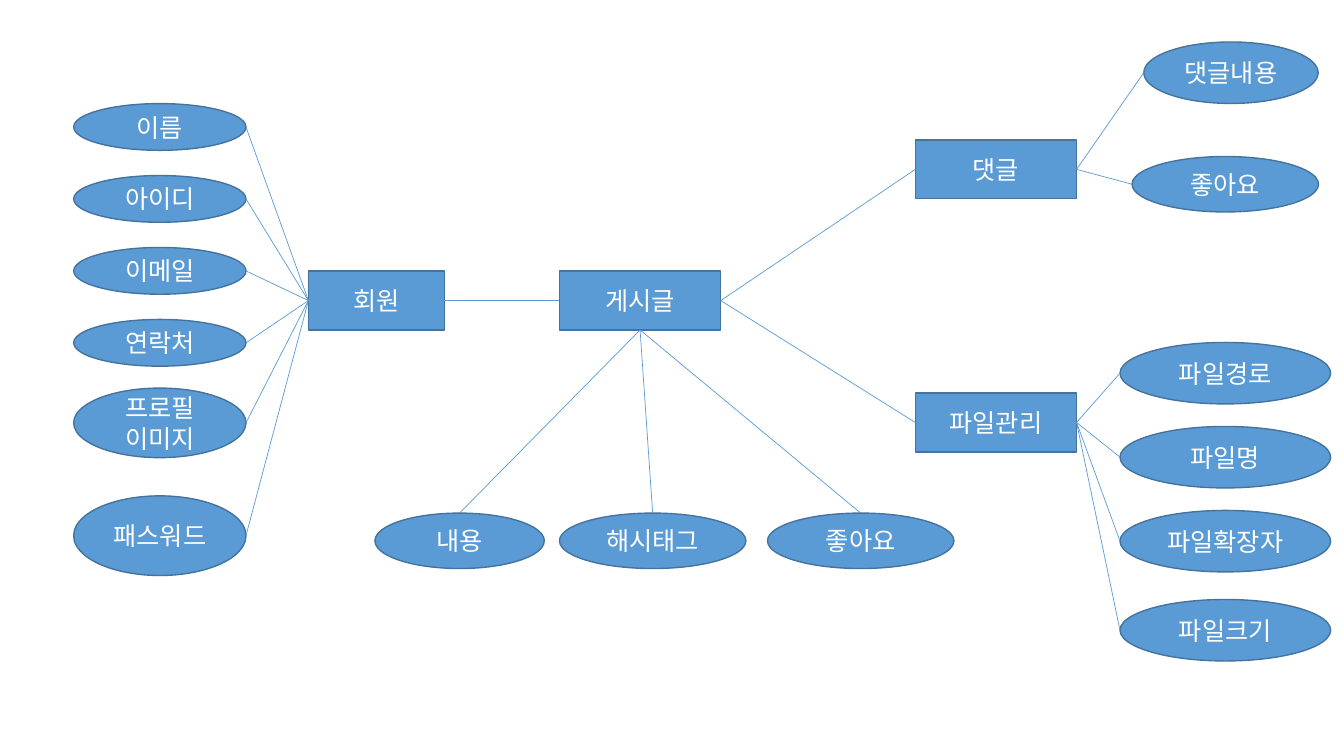
from dataclasses import dataclass
from enum import IntEnum

from lxml.etree import SubElement
from pptx import Presentation
from pptx.dml.color import RGBColor
from pptx.enum.shapes import MSO_CONNECTOR, MSO_SHAPE
from pptx.enum.text import MSO_ANCHOR, PP_ALIGN
from pptx.oxml.ns import qn
from pptx.shapes.autoshape import Shape
from pptx.shapes.connector import Connector
from pptx.slide import Slide
from pptx.util import Pt

BLUE = RGBColor(0x5B, 0x9B, 0xD5)
DARK_BLUE = RGBColor(0x43, 0x73, 0x9E)
WHITE = RGBColor(0xFF, 0xFF, 0xFF)
FONT = "Noto Sans CJK KR"

ENTITY_HEIGHT = 42
MEMBER_LEFT, MEMBER_WIDTH, MEMBER_HEIGHT = 52.6, 123.1, 33.4
MEMBER_TOP, MEMBER_STEP = 74, 51.4
POST_TOP, POST_HEIGHT = 366.5, 39.6
FILE_LEFT, FILE_WIDTH, FILE_HEIGHT = 800, 150.5, 43.9


class Side(IntEnum):
    TOP = 0
    LEFT = 1
    BOTTOM = 2
    RIGHT = 3


OPPOSITE = {
    Side.TOP: Side.BOTTOM,
    Side.LEFT: Side.RIGHT,
    Side.BOTTOM: Side.TOP,
    Side.RIGHT: Side.LEFT,
}


@dataclass(frozen=True)
class Node:
    text: str
    left: float
    top: float
    width: float
    height: float = ENTITY_HEIGHT

    def side_middle(self, side: Side) -> tuple[float, float]:
        center_x = self.left + self.width / 2
        center_y = self.top + self.height / 2
        return {
            Side.TOP: (center_x, self.top),
            Side.LEFT: (self.left, center_y),
            Side.BOTTOM: (center_x, self.top + self.height),
            Side.RIGHT: (self.left + self.width, center_y),
        }[side]


@dataclass(frozen=True)
class Entity:
    node: Node
    attribute_side: Side
    attributes: list[Node]


MEMBER = Entity(
    Node("회원", 220.3, 193.7, 97.2),
    Side.LEFT,
    [
        Node(name, MEMBER_LEFT, MEMBER_TOP + row * MEMBER_STEP, MEMBER_WIDTH, MEMBER_HEIGHT)
        for row, name in enumerate(["이름", "아이디", "이메일", "연락처"])
    ]
    + [
        Node("프로필 이미지", MEMBER_LEFT, 277.2, MEMBER_WIDTH, 49.7),
        Node("패스워드", MEMBER_LEFT, 354.2, MEMBER_WIDTH, 56.9),
    ],
)
POST = Entity(
    Node("게시글", 399.6, 193.7, 115.2),
    Side.BOTTOM,
    [
        Node("내용", 267.8, POST_TOP, 121, POST_HEIGHT),
        Node("해시태그", 399.6, POST_TOP, 133.2, POST_HEIGHT),
        Node("좋아요", 548.2, POST_TOP, 133.2, POST_HEIGHT),
    ],
)
COMMENT = Entity(
    Node("댓글", 653.8, 100, 115.2),
    Side.RIGHT,
    [
        Node("댓글내용", 817, 30, 124.6, FILE_HEIGHT),
        Node("좋아요", 808.6, 111.8, 133.2, POST_HEIGHT),
    ],
)
FILE = Entity(
    Node("파일관리", 653.8, 280.8, 115.2),
    Side.RIGHT,
    [
        Node(name, FILE_LEFT, top, FILE_WIDTH, FILE_HEIGHT)
        for name, top in [
            ("파일경로", 244.6),
            ("파일명", 304.6),
            ("파일확장자", 364.6),
            ("파일크기", 428.2),
        ]
    ],
)
ENTITIES = [MEMBER, POST, COMMENT, FILE]
RELATIONS = [(MEMBER, POST), (POST, COMMENT), (POST, FILE)]


def add_node(slide: Slide, node: Node, kind: MSO_SHAPE) -> Shape:
    shape = slide.shapes.add_shape(
        kind, Pt(node.left), Pt(node.top), Pt(node.width), Pt(node.height)
    )
    shape.shadow.inherit = False
    shape.fill.solid()
    shape.fill.fore_color.rgb = BLUE
    shape.line.color.rgb = DARK_BLUE
    shape.line.width = Pt(1)
    shape.text_frame.word_wrap = True
    shape.text_frame.vertical_anchor = MSO_ANCHOR.MIDDLE
    paragraph = shape.text_frame.paragraphs[0]
    paragraph.alignment = PP_ALIGN.CENTER
    run = paragraph.add_run()
    run.text = node.text
    run.font.size = Pt(18)
    run.font.name = FONT
    run.font.color.rgb = WHITE
    SubElement(run.font._element, qn("a:ea"), typeface=FONT)
    return shape


def add_entity(slide: Slide, entity: Entity) -> Shape:
    shape = add_node(slide, entity.node, MSO_SHAPE.ROUNDED_RECTANGLE)
    shape.adjustments[0] = 0
    return shape


def add_line(slide: Slide, start: Node, end: Node, side: Side) -> Connector:
    """Draw from a side of start to the opposite side of end."""
    begin_x, begin_y = start.side_middle(side)
    end_x, end_y = end.side_middle(OPPOSITE[side])
    connector = slide.shapes.add_connector(
        MSO_CONNECTOR.STRAIGHT, Pt(begin_x), Pt(begin_y), Pt(end_x), Pt(end_y)
    )
    connector.line.color.rgb = BLUE
    connector.line.width = Pt(0.5)
    SubElement(connector._element.spPr, qn("a:effectLst"))
    return connector


def main() -> None:
    presentation = Presentation()
    presentation.slide_width = Pt(960)
    presentation.slide_height = Pt(540)
    slide = presentation.slides.add_slide(presentation.slide_layouts[6])

    entity_shapes = {entity.node: add_entity(slide, entity) for entity in ENTITIES}
    for start, end in RELATIONS:
        connector = add_line(slide, start.node, end.node, Side.RIGHT)
        connector.begin_connect(entity_shapes[start.node], Side.RIGHT)
        connector.end_connect(entity_shapes[end.node], Side.LEFT)

    for entity in ENTITIES:
        for attribute in entity.attributes:
            add_node(slide, attribute, MSO_SHAPE.OVAL)
            connector = add_line(slide, entity.node, attribute, entity.attribute_side)
            connector.begin_connect(entity_shapes[entity.node], entity.attribute_side)

    presentation.save("out.pptx")


if __name__ == "__main__":
    main()
